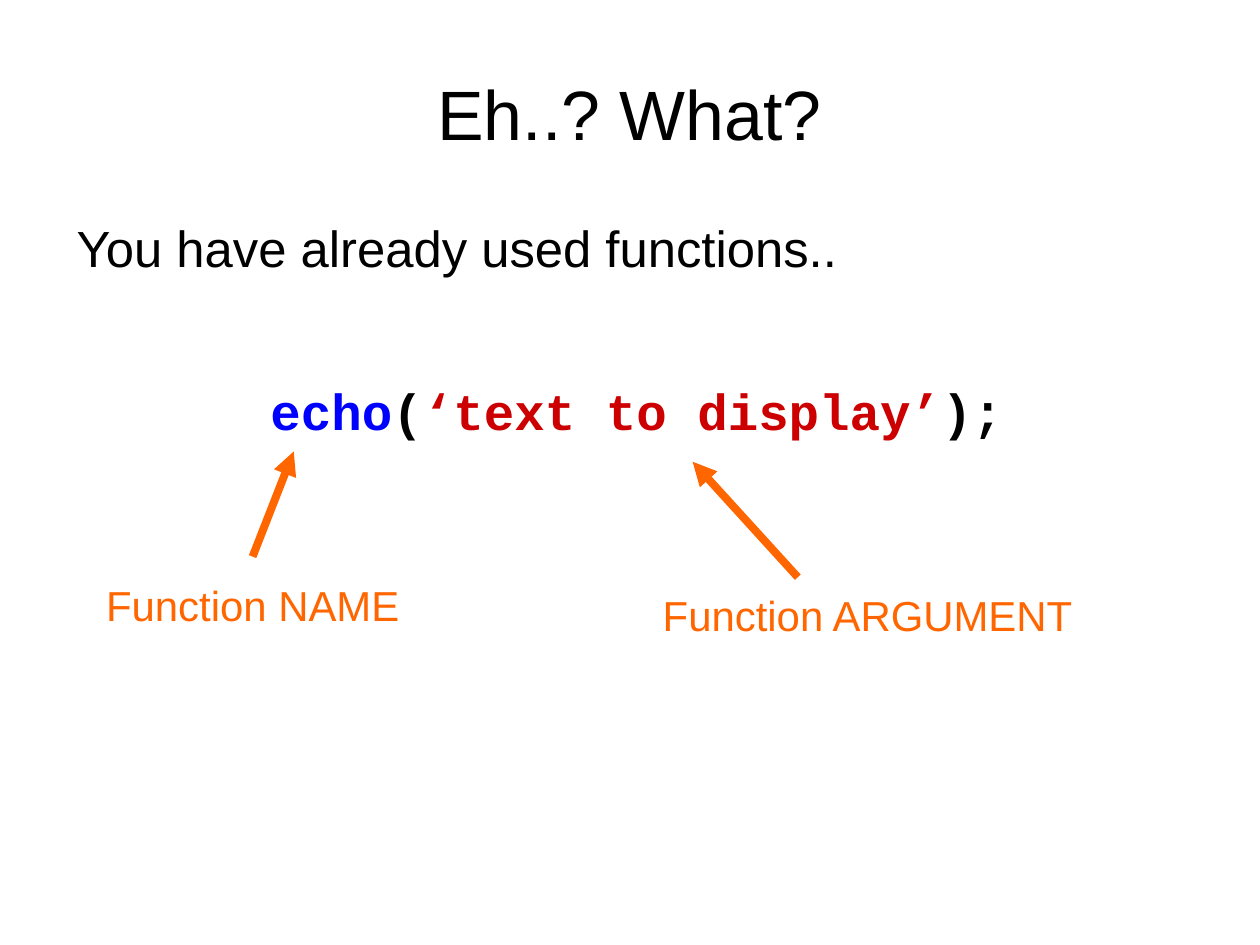
"""Build a slide that names the parts of a function call."""
from dataclasses import dataclass

from lxml.etree import SubElement
from pptx import Presentation
from pptx.dml.color import RGBColor
from pptx.enum.shapes import MSO_CONNECTOR
from pptx.enum.text import MSO_ANCHOR, MSO_AUTO_SIZE, PP_ALIGN
from pptx.oxml.ns import qn
from pptx.slide import Slide
from pptx.text.text import TextFrame, _Paragraph
from pptx.util import Inches, Pt

COLORS = {"text": "000000", "name": "0000FF", "argument": "CC0000", "callout": "FF6600"}
LINE_SPACING = 0.96
CENTIMETRES_PER_INCH = 2.54


@dataclass
class Callout:
    text: str
    left: float
    top: float
    width: float
    arrow_start: tuple[float, float]
    arrow_end: tuple[float, float]


CALLOUTS = [
    Callout("Function NAME", 0.83, 5.05, 2.8, (2.21, 4.87), (2.57, 3.95)),
    Callout("Function ARGUMENT", 5.7, 5.14, 3.83, (6.98, 5.05), (6.06, 4.04)),
]
CODE = [("echo", "name"), ("(", "text"), ("‘text to display’", "argument"), (");", "text")]


def add_frame(slide: Slide, left: float, top: float, width: float, height: float,
              inset: bool = False) -> TextFrame:
    box = slide.shapes.add_textbox(Inches(left), Inches(top), Inches(width), Inches(height))
    frame = box.text_frame
    frame.word_wrap = True
    if not inset:
        frame.margin_left = frame.margin_right = frame.margin_top = frame.margin_bottom = 0
    return frame


def add_run(paragraph: _Paragraph, text: str, size: float, color: str = "text",
            font: str = "Arial", bold: bool = False) -> None:
    paragraph.line_spacing = LINE_SPACING
    run = paragraph.add_run()
    run.text = text
    run.font.size = Pt(size)
    run.font.name = font
    run.font.bold = bold
    run.font.color.rgb = RGBColor.from_string(COLORS[color])


def add_title(slide: Slide) -> None:
    frame = add_frame(slide, 0.55, 0.33, 9.92, 1.38)
    frame.vertical_anchor = MSO_ANCHOR.MIDDLE
    paragraph = frame.paragraphs[0]
    paragraph.alignment = PP_ALIGN.CENTER
    add_run(paragraph, "Eh..? What?", 44)


def add_body(slide: Slide) -> None:
    frame = add_frame(slide, 0.67, 1.93, 9.8, 5.45)
    introduction = frame.paragraphs[0]
    introduction.space_after = Pt(14.2)
    add_run(introduction, "You have already used functions..", 32)
    code = frame.add_paragraph()
    code.alignment = PP_ALIGN.CENTER
    code.space_before = Pt(51.5)
    for text, color in CODE:
        add_run(code, text, 32, color, "Courier New", True)


def add_callout(slide: Slide, callout: Callout) -> None:
    frame = add_frame(slide, callout.left, callout.top, callout.width, 0.53, inset=True)
    frame.word_wrap = False
    frame.auto_size = MSO_AUTO_SIZE.SHAPE_TO_FIT_TEXT
    add_run(frame.paragraphs[0], callout.text, 26.4, "callout")
    points = [Inches(value) for value in callout.arrow_start + callout.arrow_end]
    arrow = slide.shapes.add_connector(MSO_CONNECTOR.STRAIGHT, *points)
    arrow.line.width = Pt(5)
    arrow.line.color.rgb = RGBColor.from_string(COLORS["callout"])
    SubElement(arrow.line._get_or_add_ln(), qn("a:tailEnd"), type="triangle")
    SubElement(arrow._element.spPr, qn("a:effectLst"))


def main() -> None:
    presentation = Presentation()
    presentation.slide_width = Inches(28 / CENTIMETRES_PER_INCH)
    presentation.slide_height = Inches(21 / CENTIMETRES_PER_INCH)
    slide = presentation.slides.add_slide(presentation.slide_layouts[6])
    add_title(slide)
    add_body(slide)
    for callout in CALLOUTS:
        add_callout(slide, callout)
    presentation.save("out.pptx")


if __name__ == "__main__":
    main()
